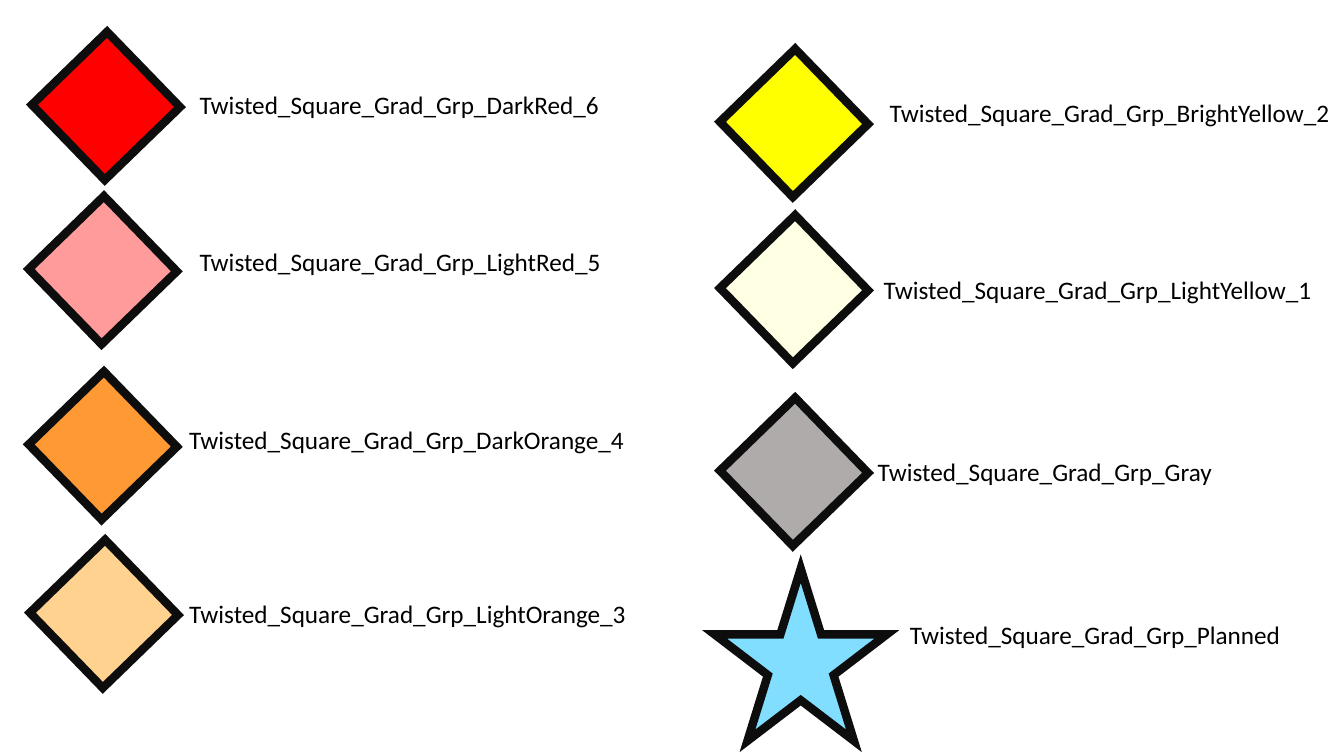
from dataclasses import dataclass

from lxml.etree import SubElement
from pptx import Presentation
from pptx.dml.color import RGBColor
from pptx.enum.shapes import MSO_SHAPE as Preset
from pptx.enum.text import MSO_AUTO_SIZE as AutoSize
from pptx.oxml.ns import qn
from pptx.util import Cm, Pt


@dataclass(frozen=True)
class Theme:
    font: str = "Calibri"
    label_size: int = 18
    text: str = "000000"
    outline: str = "0D0D0D"
    outline_width: int = 6
    dark_red: str = "FF0000"
    light_red: str = "FF9B9B"
    dark_orange: str = "FF9933"
    light_orange: str = "FFD28F"
    bright_yellow: str = "FFFF00"
    light_yellow: str = "FFFFE3"
    gray: str = "AFABAB"
    planned: str = "81DEFF"


class LegendSlide:
    """Draws symbols and their labels; all lengths are in centimetres."""

    def __init__(self, slide, theme):
        self.slide = slide
        self.theme = theme

    def symbol(self, preset, left, top, side, color, rotation=0):
        shape = self.slide.shapes.add_shape(
            preset, Cm(left), Cm(top), Cm(side), Cm(side))
        shape.rotation = rotation
        shape.shadow.inherit = False
        shape.fill.solid()
        shape.fill.fore_color.rgb = RGBColor.from_string(color)
        shape.line.color.rgb = RGBColor.from_string(self.theme.outline)
        shape.line.width = Pt(self.theme.outline_width)
        # Sharp corners on the heavy outline
        line = shape.element.spPr.find(qn("a:ln"))
        SubElement(line, qn("a:miter"), lim="800000")

    def twisted_square(self, left, top, color):
        self.symbol(Preset.RECTANGLE, left, top, 2.64, color, rotation=45.9)

    def star(self, left, top, color):
        self.symbol(Preset.STAR_5_POINT, left, top, 4.34, color)

    def label(self, left, top, width, name):
        box = self.slide.shapes.add_textbox(
            Cm(left), Cm(top), Cm(width), Cm(1.03))
        frame = box.text_frame
        frame.word_wrap = True
        frame.auto_size = AutoSize.SHAPE_TO_FIT_TEXT
        run = frame.paragraphs[0].add_run()
        run.text = f"Twisted_Square_Grad_Grp_{name}"
        run.font.name = self.theme.font
        run.font.size = Pt(self.theme.label_size)
        run.font.color.rgb = RGBColor.from_string(self.theme.text)


def main():
    presentation = Presentation()
    presentation.slide_width = Cm(33.87)
    presentation.slide_height = Cm(19.05)
    theme = Theme()
    blank_layout = presentation.slide_layouts[6]
    legend = LegendSlide(presentation.slides.add_slide(blank_layout), theme)

    # Twisted squares: left, top, colour
    for square in (
        (1.35, 1.35, theme.dark_red),
        (1.27, 5.49, theme.light_red),
        (1.27, 9.91, theme.dark_orange),
        (1.3, 14.15, theme.light_orange),
        (18.69, 1.78, theme.bright_yellow),
        (18.69, 5.97, theme.light_yellow),
        (18.69, 10.57, theme.gray),
    ):
        legend.twisted_square(*square)

    # Star for planned items
    legend.star(18.01, 14.33, theme.planned)

    # Labels: left, top, width, name
    for label in (
        (4.78, 2.13, 10.77, "DarkRed_6"),
        (4.78, 6.07, 10.77, "LightRed_5"),
        (4.52, 10.57, 11.71, "DarkOrange_4"),
        (4.52, 14.94, 11.71, "LightOrange_3"),
        (22.17, 2.34, 11.71, "BrightYellow_2"),
        (22.02, 6.78, 11.71, "LightYellow_1"),
        (21.87, 11.38, 11.71, "Gray"),
        (22.68, 15.47, 11.71, "Planned"),
    ):
        legend.label(*label)

    presentation.save("out.pptx")


if __name__ == "__main__":
    main()
